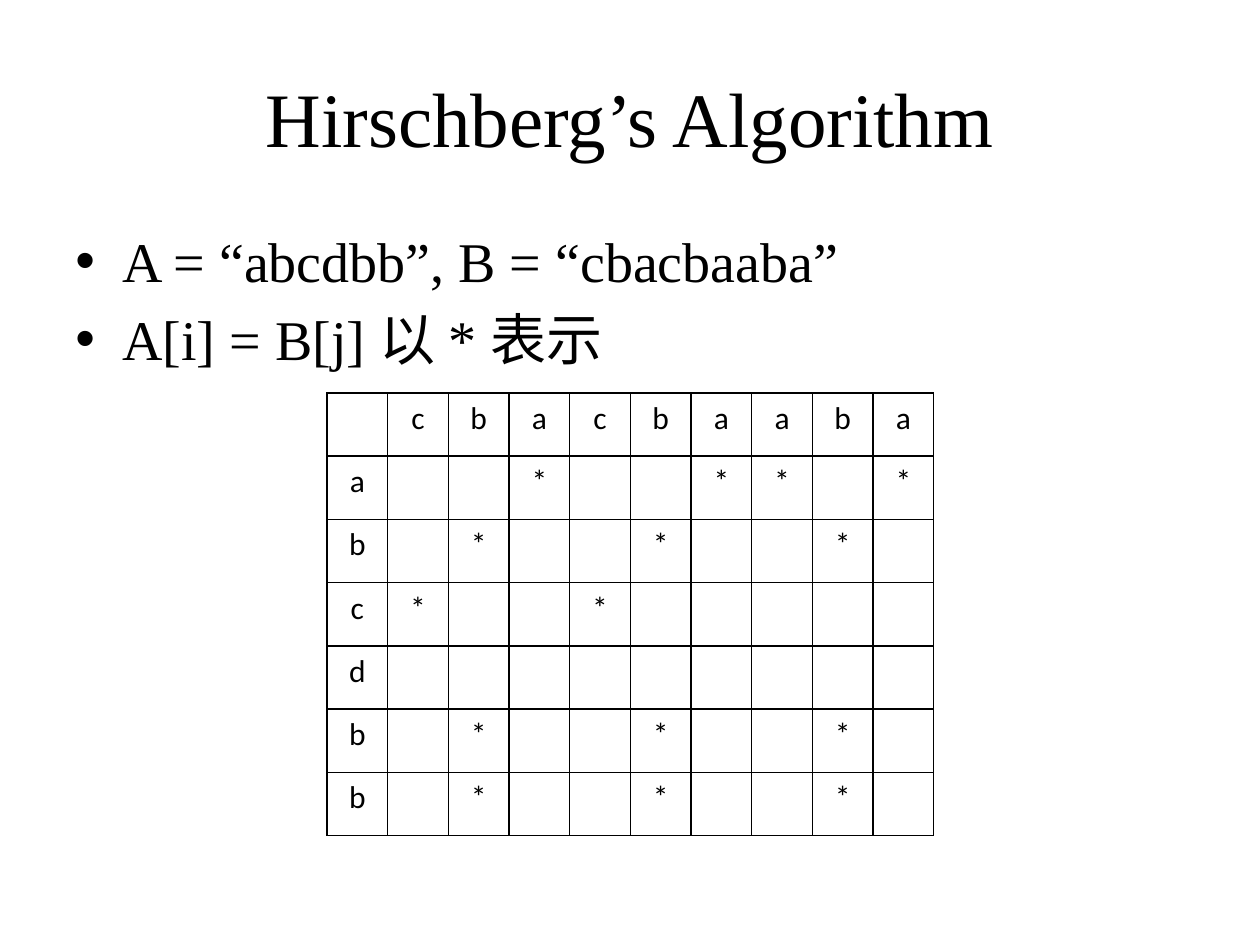
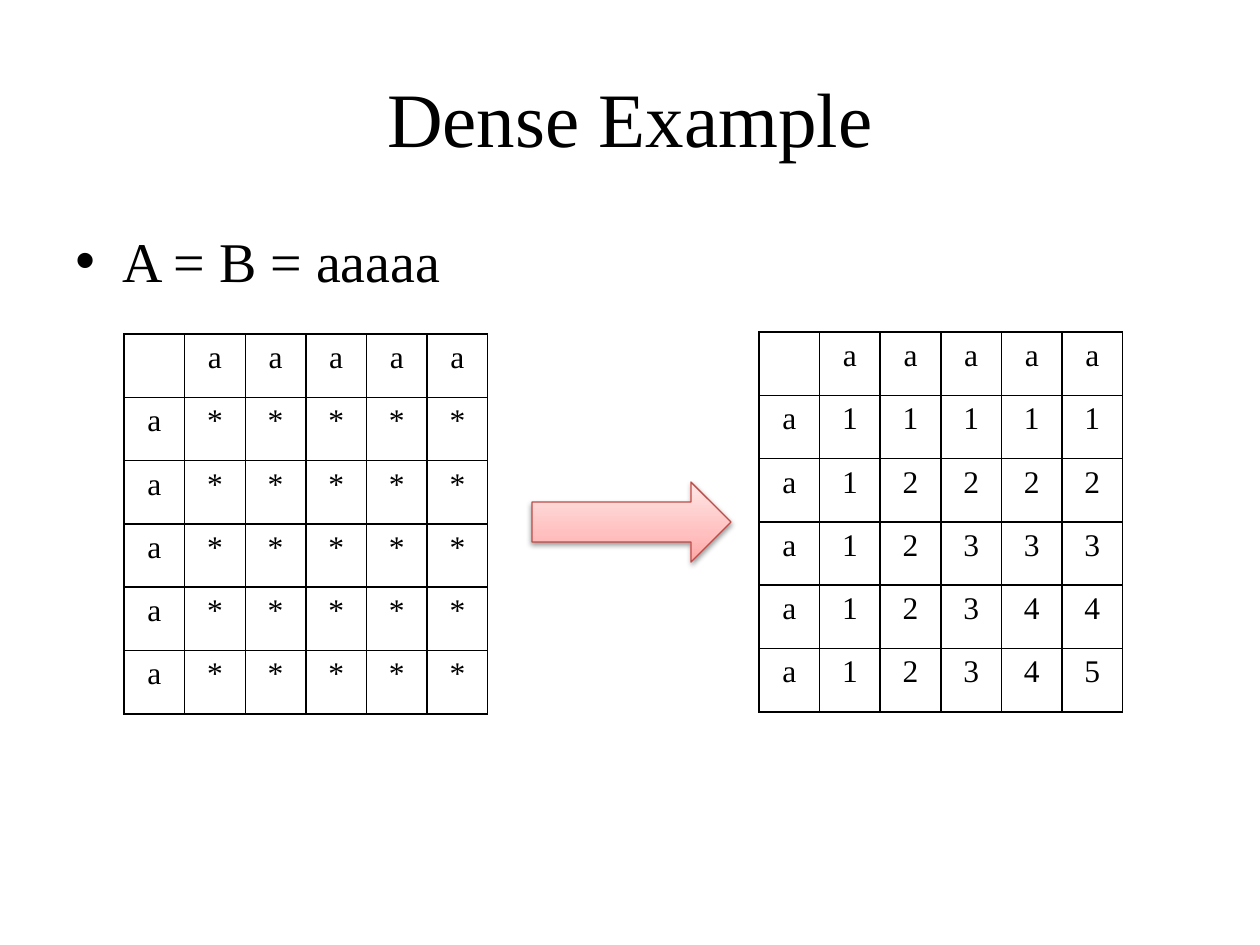
from lxml.etree import SubElement as Sub
from pptx import Presentation
from pptx.dml.color import RGBColor as Rgb
from pptx.enum.shapes import MSO_SHAPE as Shape
from pptx.enum.text import MSO_ANCHOR as Anchor, PP_ALIGN as Align
from pptx.oxml.ns import qn
from pptx.util import Pt

PX = 914400 / 126
COLORS = {
    "ink": "000000", "paper": "FFFFFF", "edge": "BF4C48",
    "deep": "FFA6A5", "mid": "FFC0BF", "pale": "FFE7E7",
}
SERIF = "Times New Roman"
SANS = "Calibri"


def px(n):
    return round(n * PX)


def rgb(name):
    return Rgb.from_string(COLORS[name])


def node(parent, tag, **attrs):
    return Sub(parent, qn(tag), {k: str(v) for k, v in attrs.items()})


def tint(parent, name):
    return node(parent, "a:srgbClr", val=COLORS[name])


def write(par, text, size=18, font=SERIF, color="ink", align=Align.CENTER):
    par.alignment = align
    run = par.add_run()
    run.text = text
    run.font.size = Pt(size)
    run.font.name = font
    run.font.bold = False
    run.font.color.rgb = rgb(color)


def add_box(slide, x, y, w, h, anchor=Anchor.TOP):
    box = slide.shapes.add_textbox(px(x), px(y), px(w), px(h))
    frame = box.text_frame
    frame.word_wrap = True
    frame.vertical_anchor = anchor
    return frame


def add_title(slide, text):
    frame = add_box(slide, 63, 38, 1134, 157, Anchor.MIDDLE)
    write(frame.paragraphs[0], text, size=44)


def add_points(slide, lines):
    frame = add_box(slide, 63, 220, 1134, 624)
    for i, line in enumerate(lines):
        par = frame.add_paragraph() if i else frame.paragraphs[0]
        props = par._p.get_or_add_pPr()
        props.set("marL", str(px(47)))
        props.set("indent", str(px(-47)))
        if i:
            node(node(props, "a:spcBef"), "a:spcPct", val=20000)
        node(props, "a:buFont", typeface="Arial")
        node(props, "a:buChar", char="•")
        write(par, line, size=32, align=Align.LEFT)


def add_slide(deck, title, points):
    slide = deck.slides.add_slide(deck.slide_layouts[6])
    slide.background.fill.solid()
    slide.background.fill.fore_color.rgb = rgb("paper")
    add_title(slide, title)
    add_points(slide, points)
    return slide


def frame_cell(cell):
    props = cell._tc.get_or_add_tcPr()
    for side in "LRTB":
        line = node(props, f"a:ln{side}", w=Pt(1))
        tint(node(line, "a:solidFill"), "ink")
    cell.fill.background()


def match_rows(down, across, mark):
    """Head row and head column of letters around mark(i, j) values."""
    head = ["", *across]
    body = [[a, *(mark(i, j) for j in range(len(across)))]
            for i, a in enumerate(down)]
    return [head, *body]


def add_grid(slide, x, y, w, h, rows, font=SERIF):
    high, wide = len(rows), len(rows[0])
    table = slide.shapes.add_table(
        high, wide, px(x), px(y), px(w), px(h)).table
    table.first_row = table.horz_banding = False
    for col in table.columns:
        col.width = px(w / wide)
    for line, row in zip(table.rows, rows):
        line.height = px(h / high)
        for cell, text in zip(line.cells, row):
            frame_cell(cell)
            if text:
                write(cell.text_frame.paragraphs[0], text, font=font)


def add_arrow(slide, x, y, w, h):
    arrow = slide.shapes.add_shape(
        Shape.RIGHT_ARROW, px(x), px(y), px(w), px(h))
    arrow.shadow.inherit = False
    arrow.fill.gradient()
    arrow.fill.gradient_angle = 90
    stops = arrow._element.spPr.find(qn("a:gradFill")).find(qn("a:gsLst"))
    for old in list(stops):
        stops.remove(old)
    for pos, name in ((0, "deep"), (35, "mid"), (100, "pale")):
        tint(node(stops, "a:gs", pos=pos * 1000), name)
    arrow.line.color.rgb = rgb("edge")
    arrow.line.width = Pt(0.75)
    shade = node(arrow._element.spPr.find(qn("a:effectLst")), "a:outerShdw",
                 blurRad=Pt(3.1), dist=Pt(1.6), dir=90 * 60000, rotWithShape=0)
    node(tint(shade, "ink"), "a:alpha", val=38000)


def add_sparse(deck):
    down, across = "abcdbb", "cbacbaaba"
    slide = add_slide(deck, "Hirschberg’s Algorithm", [
        f"A = “{down}”, B = “{across}”", "A[i] = B[j] 以 * 表示"])
    rows = match_rows(down, across,
                      lambda i, j: "*" if down[i] == across[j] else "")
    add_grid(slide, 327, 393, 607, 443, rows, font=SANS)


def add_dense(deck):
    word = "aaaaa"
    slide = add_slide(deck, "Dense Example", [f"A = B = {word}"])
    stars = match_rows(word, word, lambda i, j: "*")
    ranks = match_rows(word, word, lambda i, j: str(min(i, j) + 1))
    add_grid(slide, 124, 334, 364, 380, stars)
    add_arrow(slide, 532, 482, 199, 80)
    add_grid(slide, 759, 332, 364, 380, ranks)


def main():
    deck = Presentation()
    deck.slide_width, deck.slide_height = px(1260), px(945)
    add_sparse(deck)
    add_dense(deck)
    deck.save("out.pptx")


if __name__ == "__main__":
    main()
